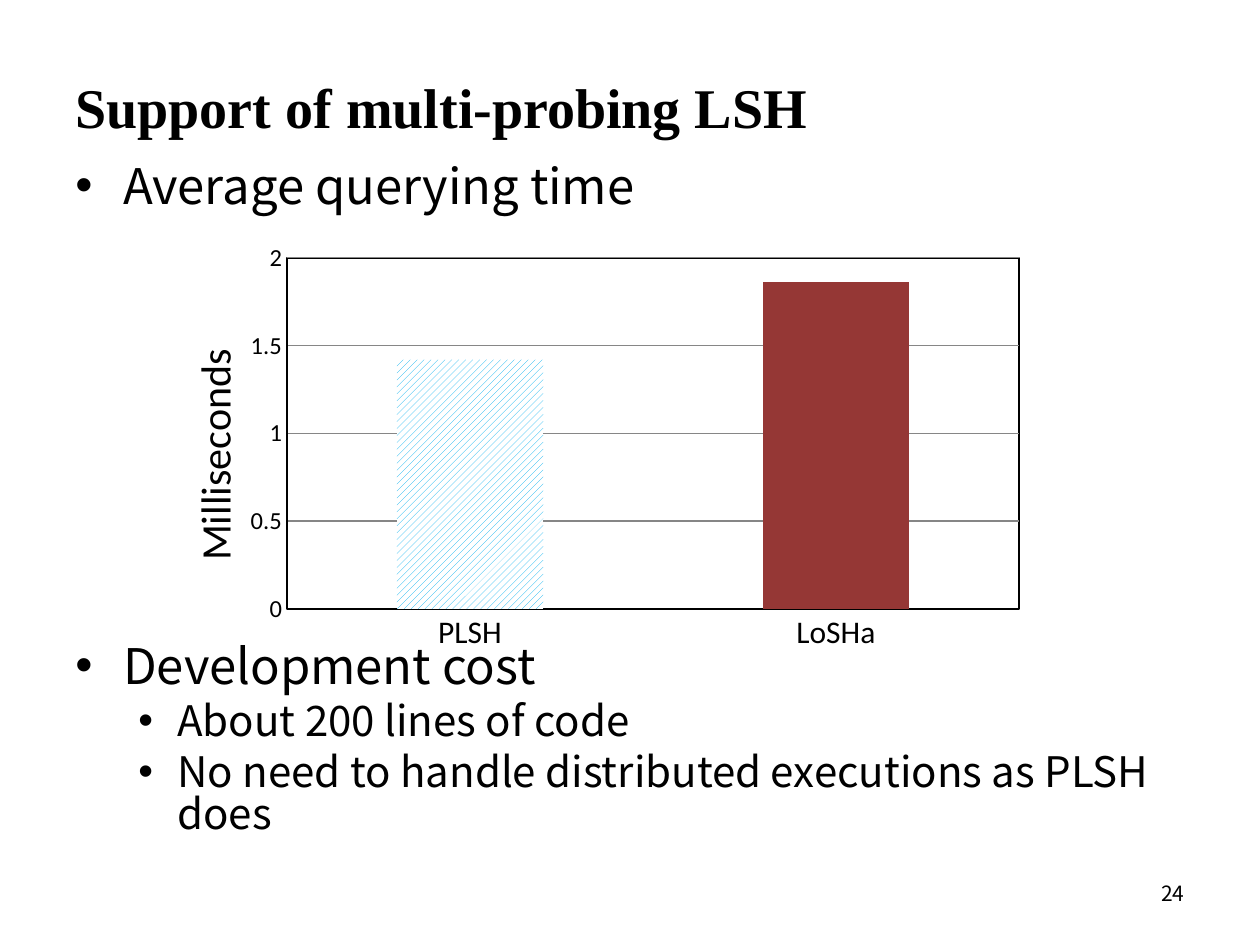
from pptx import Presentation
from pptx.chart.data import CategoryChartData
from pptx.dml.color import RGBColor
from pptx.enum import chart as ch, dml, text
from pptx.oxml import parse_xml
from pptx.oxml.ns import nsdecls
from pptx.util import Inches, Pt

BLACK = RGBColor(0, 0, 0)
WHITE = RGBColor(255, 255, 255)
GREY = RGBColor(0x86, 0x86, 0x86)
CYAN = RGBColor(0, 0xB0, 0xF0)
RED = RGBColor(0x95, 0x37, 0x35)
SANS, SERIF, LABEL = "Noto Sans CJK SC", "Times New Roman", "Calibri"

TITLE = "Support of multi-probing LSH"
NUMBER = "24"
LISTS = [
    ((0.5, 1.26, 9.07, 0.6), [(0, "Average querying time")]),
    ((0.5, 5.07, 9.07, 1.9), [
        (0, "Development cost"),
        (1, "About 200 lines of code"),
        (1, "No need to handle distributed executions as PLSH does"),
    ]),
]
LEVELS = [(28, 0.38, 0.38), (24, 0.81, 0.31)]
TIMES = {"PLSH": 1.42, "LoSHa": 1.86}
UNIT = "Milliseconds"

deck = Presentation()
deck.slide_width, deck.slide_height = Inches(10), Inches(7.5)
slide = deck.slides.add_slide(deck.slide_layouts[6])


def style(font, size, name=SANS, bold=False):
    font.size, font.name, font.bold = Pt(size), name, bold
    font.color.rgb = BLACK


def add_box(area, words, anchor=text.MSO_ANCHOR.MIDDLE):
    frame = slide.shapes.add_textbox(*map(Inches, area)).text_frame
    frame.word_wrap = True
    frame.vertical_anchor = anchor
    frame.text = words
    return frame


def add_bullet(par, level):
    size, left, hang = LEVELS[level]
    par.level = level
    par.line_spacing = 0.84
    props = par._p.get_or_add_pPr()
    props.set("marL", str(Inches(left)))
    props.set("indent", str(-Inches(hang)))
    props.append(parse_xml(f'<a:buFont {nsdecls("a")} typeface="Arial"/>'))
    props.append(parse_xml(f'<a:buChar {nsdecls("a")} char="•"/>'))
    style(par.runs[0].font, size)
    return size


def layout(x, y, w=None, h=None, inner=False):
    parts = '<c:layoutTarget val="inner"/>' if inner else ""
    parts += '<c:xMode val="edge"/><c:yMode val="edge"/>'
    for key, val in zip("xywh", (x, y, w, h)):
        if val is not None:
            parts += f'<c:{key} val="{val}"/>'
    return parse_xml(f'<c:layout {nsdecls("c")}><c:manualLayout>{parts}'
                     '</c:manualLayout></c:layout>')


def set_layout(node, new, before):
    for old in node.findall(new.tag):
        node.remove(old)
    node.insert(before, new)


head = add_box((0.5, 0.52, 9, 0.64), TITLE)
style(head.paragraphs[0].runs[0].font, 32, SERIF, True)

for area, items in LISTS:
    frame = add_box(area, "\n".join(words for _, words in items),
                    text.MSO_ANCHOR.TOP)
    for i, (par, (level, _)) in enumerate(zip(frame.paragraphs, items)):
        size = add_bullet(par, level)
        par.space_before = Pt(0.2 * size if i else 0)

foot = add_box((7.17, 6.89, 2.33, 0.4), NUMBER).paragraphs[0]
foot.alignment = text.PP_ALIGN.RIGHT
style(foot.runs[0].font, 12)

data = CategoryChartData()
data.categories = list(TIMES)
data.add_series("Series 1", list(TIMES.values()))
area = map(Inches, (1.06, 1.86, 7.17, 3.39))
chart = slide.shapes.add_chart(ch.XL_CHART_TYPE.COLUMN_CLUSTERED, *area, data).chart
chart.has_legend = chart.has_title = False
style(chart.font, 10, LABEL)

plot = chart.plots[0]
plot.gap_width = 150
plot.vary_by_categories = False
hatch, solid = (plot.series[0].points[i].format.fill for i in range(2))
hatch.patterned()
hatch.pattern = dml.MSO_PATTERN.WIDE_UPWARD_DIAGONAL
hatch.fore_color.rgb, hatch.back_color.rgb = CYAN, WHITE
solid.solid()
solid.fore_color.rgb = RED

cats, vals = chart.category_axis, chart.value_axis
for axis, size in ((cats, 18), (vals, 14)):
    axis.major_tick_mark = axis.minor_tick_mark = ch.XL_TICK_MARK.NONE
    style(axis.tick_labels.font, size, LABEL)
    axis.format.line.color.rgb = BLACK
vals.minimum_scale, vals.maximum_scale, vals.major_unit = 0, 2, 0.5
vals.major_gridlines.format.line.color.rgb = GREY
vals.tick_labels.number_format = "General"
vals.tick_labels.number_format_is_linked = False

title = vals.axis_title
title.text_frame.text = UNIT
style(title.text_frame.paragraphs[0].runs[0].font, 24, LABEL)
turn = title.text_frame._txBody.bodyPr
turn.set("rot", "-5400000")
turn.set("vert", "horz")
set_layout(title._element, layout(0.05, 0.25), 1)

zone = chart._chartSpace.chart.plotArea
set_layout(zone, layout(0.17, 0.055, 0.81, 0.822, True), 0)
zone.append(parse_xml(
    f'<c:spPr {nsdecls("c", "a")}><a:noFill/><a:ln w="12700"><a:solidFill>'
    f'<a:srgbClr val="{BLACK}"/></a:solidFill></a:ln></c:spPr>'))

deck.save("out.pptx")
